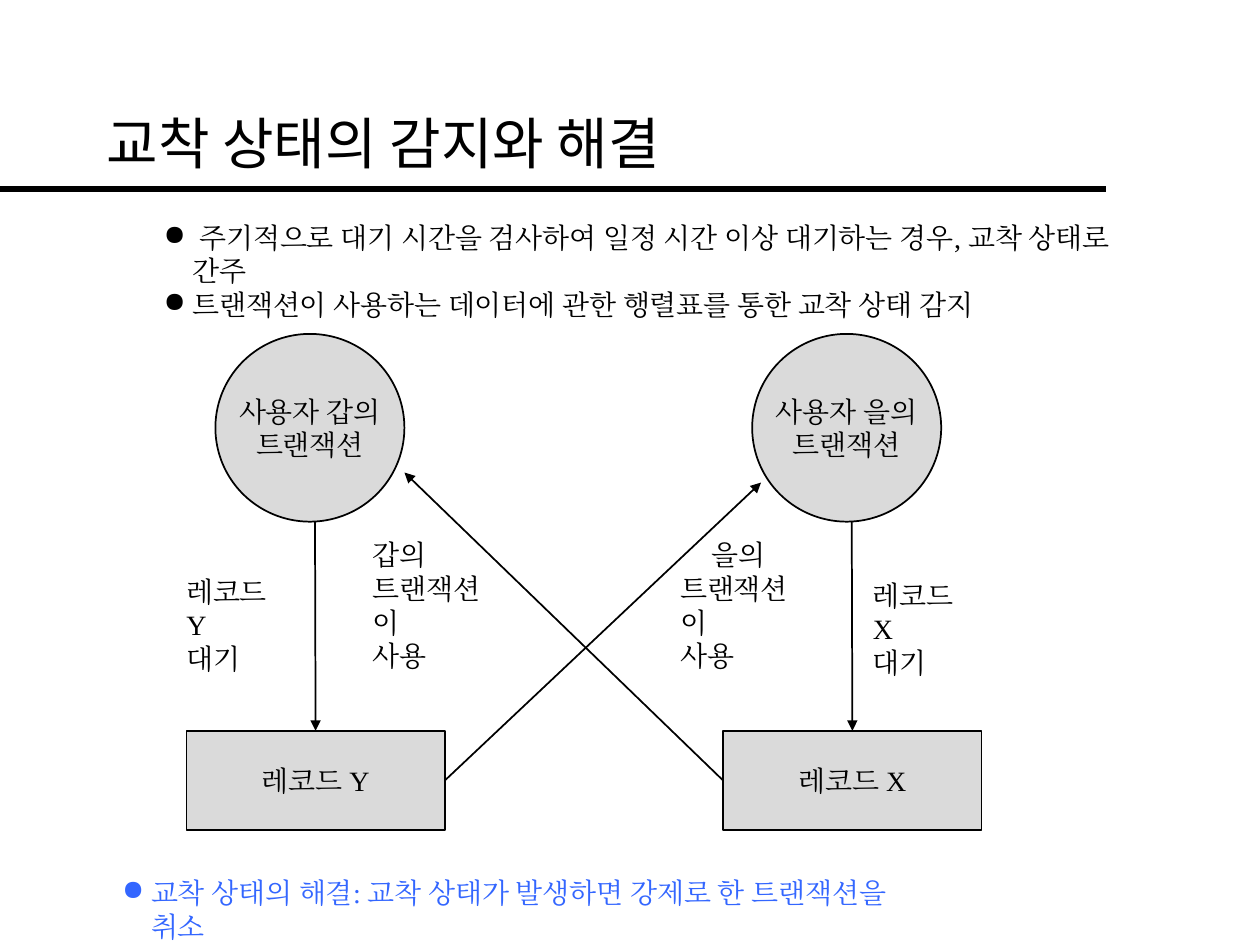
from pptx import Presentation
from pptx.dml.color import RGBColor
from pptx.enum.shapes import MSO_CONNECTOR, MSO_SHAPE
from pptx.enum.text import MSO_ANCHOR, PP_ALIGN
from pptx.oxml.ns import qn
from pptx.util import Inches, Pt
from lxml.etree import SubElement

COLORS = {"ink": "000000", "fill": "DADADA", "accent": "3366FF"}
BODY_FONT = "Times New Roman"
TITLE_FONT = "Noto Sans CJK KR"


def color(name):
    return RGBColor.from_string(COLORS[name])


def write(frame, text, size=16, font=BODY_FONT, ink="ink", align=PP_ALIGN.LEFT,
          anchor=MSO_ANCHOR.TOP, wrap=True, bullet=None, first_indent=0):
    """Fill a text frame, one paragraph for each line of text."""
    frame.word_wrap = wrap
    frame.vertical_anchor = anchor
    for index, line in enumerate(text.split("\n")):
        para = frame.paragraphs[0] if index == 0 else frame.add_paragraph()
        para.alignment = align
        properties = para._p.get_or_add_pPr()
        if bullet:
            properties.set("marL", str(Inches(0.23)))
            properties.set("indent", str(-Inches(0.23)))
            SubElement(properties, qn("a:buChar"), char=bullet)
        elif first_indent and index == 0:
            properties.set("indent", str(Inches(first_indent)))
        span = para.add_run()
        span.text = line
        span.font.size = Pt(size)
        span.font.name = font
        span.font.color.rgb = color(ink)
        SubElement(span._r.get_or_add_rPr(), qn("a:ea"), typeface=font)


class SlideBuilder:
    """Hold the line style and the current slide, and add elements to it."""

    def __init__(self, page, line_width=1):
        self.page = page
        self.line_width = line_width

    def text(self, left, top, width, height, content, **style):
        box = self.page.shapes.add_textbox(
            Inches(left), Inches(top), Inches(width), Inches(height))
        write(box.text_frame, content, **style)

    def node(self, preset, left, top, width, height, content):
        shape = self.page.shapes.add_shape(
            preset, Inches(left), Inches(top), Inches(width), Inches(height))
        shape.shadow.inherit = False
        shape.fill.solid()
        shape.fill.fore_color.rgb = color("fill")
        shape.line.color.rgb = color("ink")
        shape.line.width = Pt(self.line_width)
        write(shape.text_frame, content, align=PP_ALIGN.CENTER,
              anchor=MSO_ANCHOR.MIDDLE, wrap=False)
        return shape

    def line(self, start, end, width=None, arrow=False, source=None, target=None):
        connector = self.page.shapes.add_connector(
            MSO_CONNECTOR.STRAIGHT, *map(Inches, start + end))
        connector.line.color.rgb = color("ink")
        connector.line.width = Pt(width or self.line_width)
        if source:
            connector.begin_connect(*source)
        if target:
            connector.end_connect(*target)
        if arrow:
            SubElement(connector.line._get_or_add_ln(), qn("a:tailEnd"), type="triangle")
        SubElement(connector._element.spPr, qn("a:effectLst"))


def main():
    deck = Presentation()
    deck.slide_width, deck.slide_height = Inches(10), Inches(7.5)
    builder = SlideBuilder(deck.slides.add_slide(deck.slide_layouts[6]))

    builder.line((0, 1.5), (8.78, 1.5), width=4)
    builder.text(0.75, 0.5, 8.5, 1.25, "교착 상태의 감지와 해결", size=32,
                 font=TITLE_FONT, anchor=MSO_ANCHOR.MIDDLE)

    records = []
    for offset, user, record in ((0, "갑", "Y"), (4.26, "을", "X")):
        builder.node(MSO_SHAPE.OVAL, 1.71 + offset, 2.65, 1.5, 1.49,
                     f"사용자 {user}의\n트랜잭션")
        records.append(builder.node(MSO_SHAPE.RECTANGLE, 1.48 + offset, 5.8, 2.05, 0.79,
                                    f"레코드 {record}"))
        builder.line((2.5 + offset, 4.14), (2.5 + offset, 5.8), arrow=True,
                     target=(records[-1], 0))
    record_y, record_x = records
    builder.line((3.53, 6.19), (6.04, 3.83), arrow=True, source=(record_y, 3))
    builder.line((5.74, 6.19), (3.21, 3.75), arrow=True, source=(record_x, 1))

    for left, top, record in ((1.38, 4.51, "Y"), (6.83, 4.54, "X")):
        builder.text(left, top, 0.95, 0.64, f"레코드 {record}\n대기")
    for left, user, indent in ((2.86, "갑", 0), (5.3, "을", 0.25)):
        builder.text(left, 4.22, 1.25, 0.9, f"{user}의\n트랜잭션이\n사용",
                     first_indent=indent)

    builder.text(0.87, 6.9, 6.61, 0.37,
                 "교착 상태의 해결: 교착 상태가 발생하면 강제로 한 트랜잭션을 취소",
                 ink="accent", bullet="●")
    builder.text(1.2, 1.7, 8, 0.64,
                 " 주기적으로 대기 시간을 검사하여 일정 시간 이상 대기하는 경우, 교착 상태로 간주\n"
                 "트랜잭션이 사용하는 데이터에 관한 행렬표를 통한 교착 상태 감지", bullet="●")
    deck.save("out.pptx")


if __name__ == "__main__":
    main()
